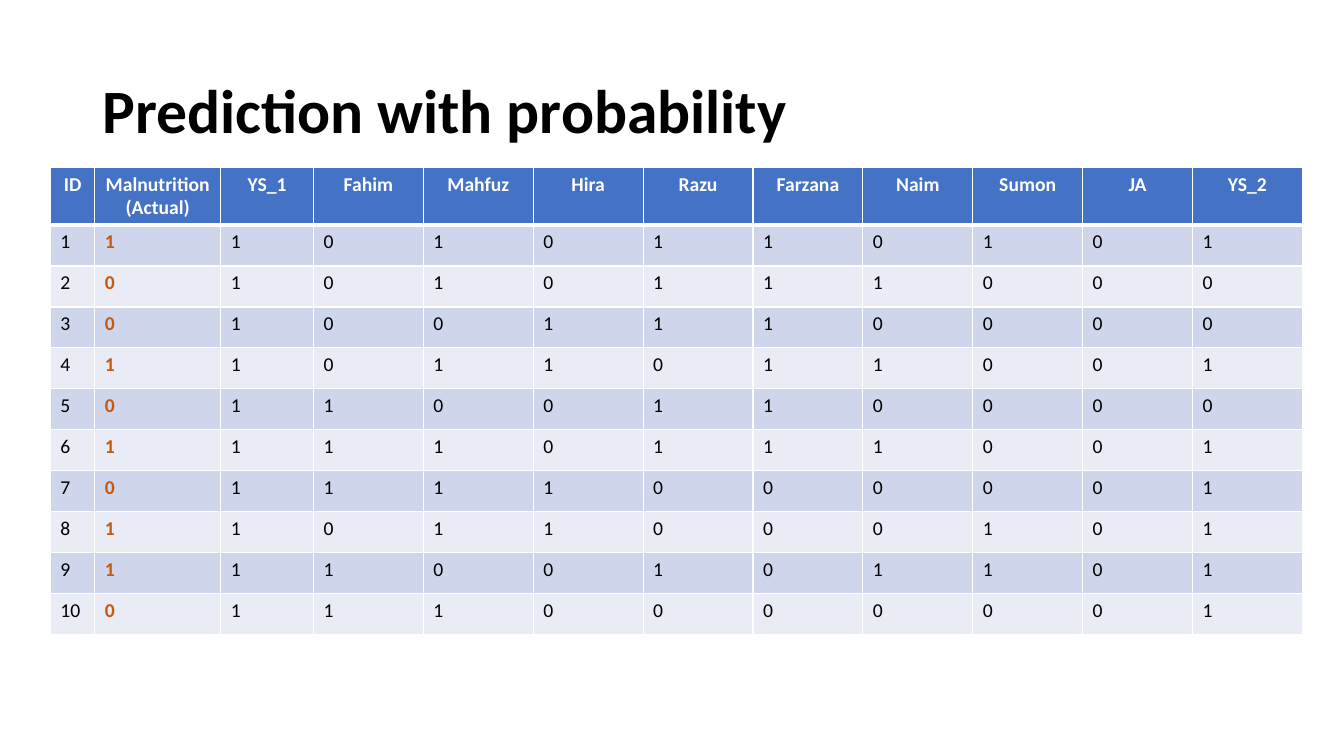
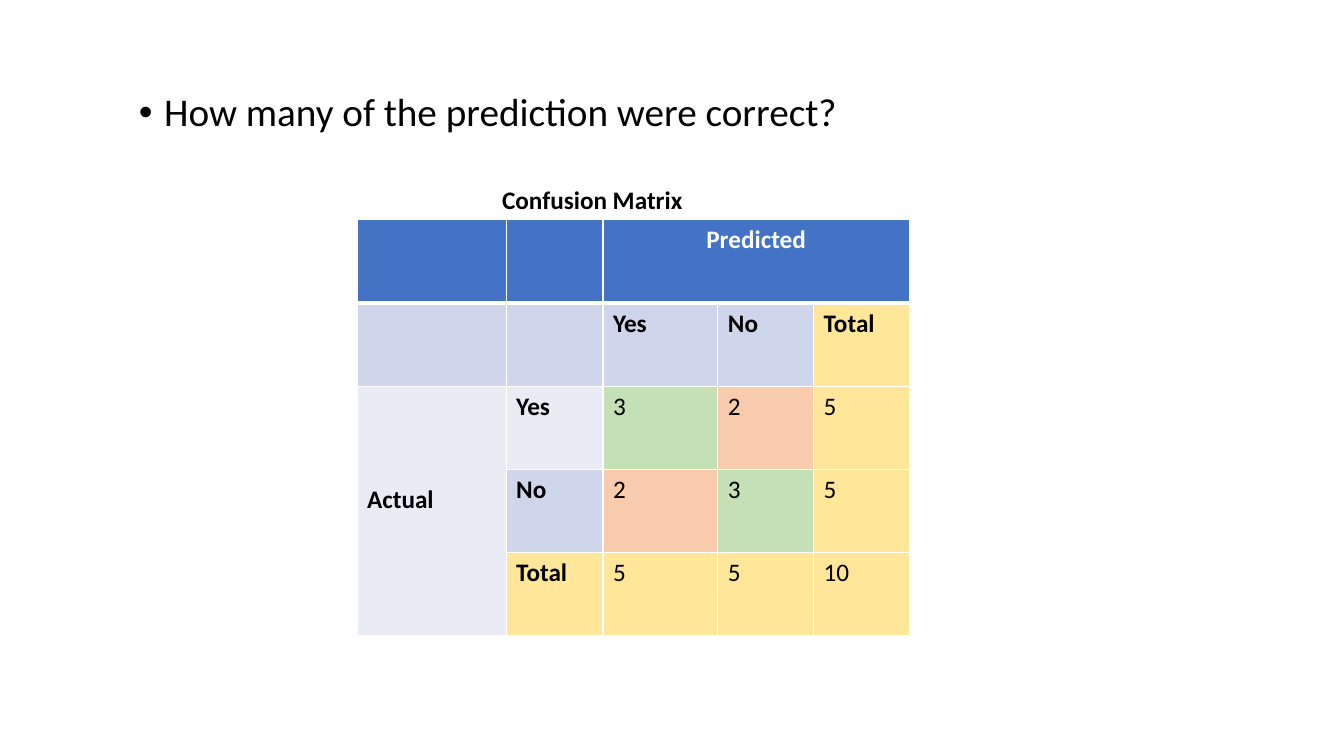
from lxml import etree
from pptx import Presentation
from pptx.dml.color import RGBColor
from pptx.enum.text import MSO_ANCHOR, PP_ALIGN
from pptx.oxml.ns import qn
from pptx.util import Inches, Pt

CENTER, LEFT = PP_ALIGN.CENTER, PP_ALIGN.LEFT
TOP, MIDDLE = MSO_ANCHOR.TOP, MSO_ANCHOR.MIDDLE
FONT = "Calibri"
COLORS = {
    "text": "000000", "white": "FFFFFF", "header": "4472C4",
    "band_dark": "CFD5EA", "band_light": "E9EBF5", "actual": "C55A11",
    "correct": "C5E0B4", "wrong": "F8CBAD", "total": "FFE699",
}

# Content
PREDICTION_TITLE = "Prediction with probability"
PREDICTION_HEADER = ["ID", "Malnutrition\n(Actual)", "YS_1", "Fahim", "Mahfuz", "Hira",
                     "Razu", "Farzana", "Naim", "Sumon", "JA", "YS_2"]
# One string per ID: the actual value, then one prediction per column
PREDICTIONS = [
    "11010110101", "01010111000", "01001110000", "11011011001", "01100110000",
    "11110111001", "01111000001", "11011000101", "11100101101", "01110000001",
]
PREDICTION_COLUMNS = [0.44, 1.25, 0.92] + [1.09] * 9

QUESTION = "How many of the prediction were correct?"
MATRIX_TITLE = "Confusion Matrix"
MATRIX = [
    ["", "", "Predicted", "", ""],
    ["", "", "Yes", "No", "Total"],
    ["Actual", "Yes", "3", "2", "5"],
    ["", "No", "2", "3", "5"],
    ["", "Total", "5", "5", "10"],
]
MATRIX_COLUMNS = [1.48, 0.96, 1.14, 0.95, 0.95]


def rgb(name):
    return RGBColor.from_string(COLORS[name])


def style_text(frame, size, color="text", bold=False, align=LEFT):
    for paragraph in frame.paragraphs:
        paragraph.alignment = align
        for run in paragraph.runs:
            font = run.font
            font.name, font.size, font.bold = FONT, Pt(size), bold
            font.color.rgb = rgb(color)


def add_text(slide, box, text, size, bold=False, align=LEFT, anchor=TOP):
    frame = slide.shapes.add_textbox(*map(Inches, box)).text_frame
    frame.word_wrap = True
    frame.vertical_anchor = anchor
    frame.text = text
    style_text(frame, size, bold=bold, align=align)
    return frame.paragraphs[0]


def set_borders(cell, row):
    """White grid, with a thick rule between the header and the body."""
    widths = {"L": 1, "R": 1, "T": 3 if row == 1 else 1, "B": 3 if row == 0 else 1}
    properties = cell._tc.get_or_add_tcPr()
    for side, width in widths.items():
        line = etree.SubElement(properties, qn(f"a:ln{side}"), w=str(Pt(width)))
        fill = etree.SubElement(line, qn("a:solidFill"))
        etree.SubElement(fill, qn("a:srgbClr"), val=COLORS["white"])


def add_banded_table(slide, left, top, columns, heights, rows, size, body_style):
    """body_style(row, column) gives a fill (None for the band), a text colour and bold."""
    table = slide.shapes.add_table(len(rows), len(columns), Inches(left), Inches(top),
                                   Inches(sum(columns)), sum(heights)).table
    for column, width in zip(table.columns, columns):
        column.width = Inches(width)
    for r, (values, height) in enumerate(zip(rows, heights)):
        table.rows[r].height = height
        band = "band_dark" if r % 2 else "band_light"
        for c, value in enumerate(values):
            cell = table.cell(r, c)
            if r == 0:
                fill, color, bold, align = "header", "white", True, CENTER
            else:
                fill, color, bold = body_style(r, c)
                align = LEFT
            cell.text = value
            style_text(cell.text_frame, size, color, bold, align)
            set_borders(cell, r)
            cell.fill.solid()
            cell.fill.fore_color.rgb = rgb(fill or band)
    return table


def prediction_style(row, column):
    is_actual = column == 1
    return None, "actual" if is_actual else "text", is_actual


def matrix_style(row, column):
    fill = None
    if row >= 1 and column >= 1 and (row == 4 or column == 4):
        fill = "total"
    elif row >= 2 and column >= 2:
        fill = "correct" if row == column else "wrong"
    return fill, "text", row == 1 or column <= 1


def build_prediction_slide(slide):
    rows = [PREDICTION_HEADER]
    rows += [[str(number), *values] for number, values in enumerate(PREDICTIONS, 1)]
    body_height = Inches(4.06) // len(PREDICTIONS)
    heights = [Inches(0.56)] + [body_height] * len(PREDICTIONS)
    add_banded_table(slide, 0.5, 1.66, PREDICTION_COLUMNS, heights, rows, 14,
                     prediction_style)
    title = add_text(slide, (0.92, 0.4, 11.5, 1.45), PREDICTION_TITLE, 44,
                     bold=True, anchor=MIDDLE)
    title.line_spacing = 0.9


def build_matrix_slide(slide):
    heights = [Inches(4.13) // len(MATRIX)] * len(MATRIX)
    table = add_banded_table(slide, 3.54, 2.18, MATRIX_COLUMNS, heights, MATRIX, 18,
                             matrix_style)
    table.cell(0, 2).merge(table.cell(0, 4))
    actual = table.cell(2, 0)
    actual.merge(table.cell(4, 0))
    actual.margin_top = Inches(0.97)

    add_text(slide, (3.99, 1.78, 3.77, 0.4), MATRIX_TITLE, 18, bold=True, align=CENTER)

    # Bulleted question
    question = add_text(slide, (1.28, 0.87, 7.6, 0.95), QUESTION, 28)
    question.line_spacing = 0.9
    question.space_before = Pt(10)
    properties = question._p.get_or_add_pPr()
    properties.set("marL", str(Inches(0.25)))
    properties.set("indent", str(Inches(-0.25)))
    etree.SubElement(properties, qn("a:buFont"), typeface="Arial")
    etree.SubElement(properties, qn("a:buChar"), char="•")


def main():
    deck = Presentation()
    deck.slide_width, deck.slide_height = Inches(13.33), Inches(7.5)
    blank = deck.slide_layouts[6]
    for build in (build_prediction_slide, build_matrix_slide):
        build(deck.slides.add_slide(blank))
    deck.save("out.pptx")


if __name__ == "__main__":
    main()
